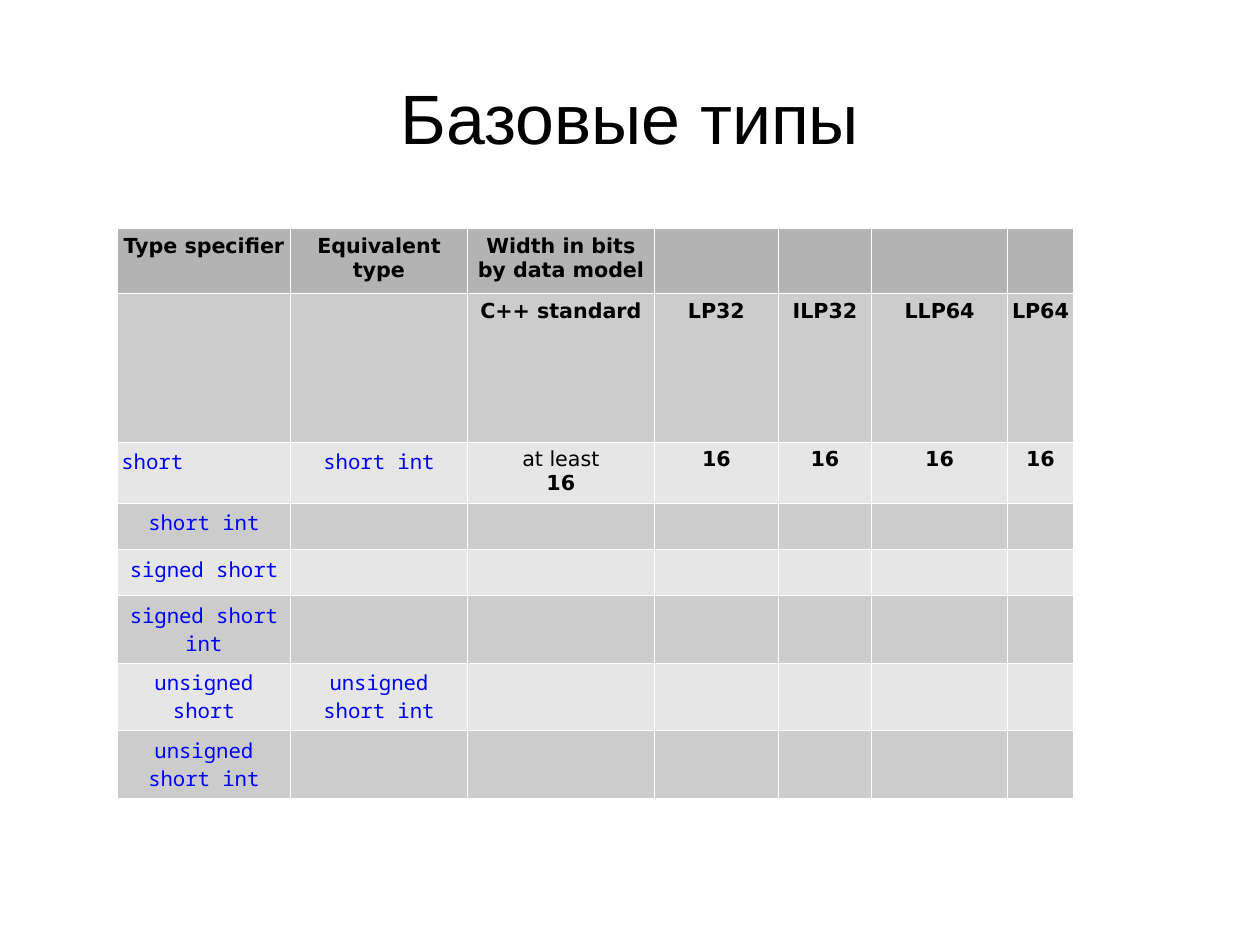
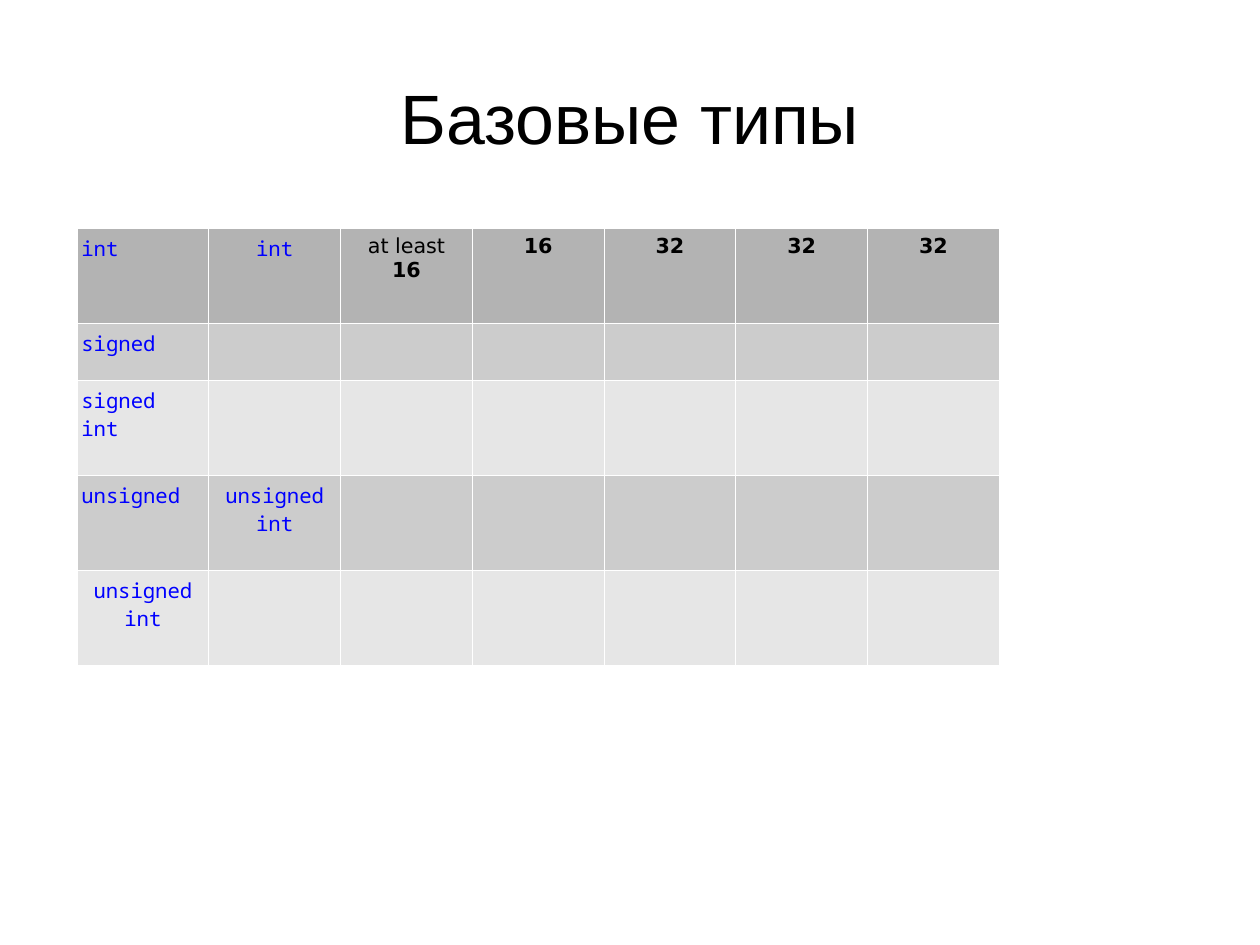
"""Build two slides with tables of the basic integer types."""
from dataclasses import dataclass
from typing import NamedTuple

from lxml import etree
from pptx import Presentation
from pptx.dml.color import RGBColor
from pptx.enum.text import MSO_ANCHOR, MSO_AUTO_SIZE, PP_ALIGN
from pptx.oxml.ns import qn
from pptx.presentation import Presentation as Deck
from pptx.slide import Slide
from pptx.table import _Cell
from pptx.text.text import TextFrame
from pptx.util import Pt

LEFT, CENTER = PP_ALIGN.LEFT, PP_ALIGN.CENTER
MIDDLE, NO_FIT = MSO_ANCHOR.MIDDLE, MSO_AUTO_SIZE.NONE

BLACK = RGBColor(0x00, 0x00, 0x00)
BLUE = RGBColor(0x00, 0x00, 0xFF)
WHITE = RGBColor(0xFF, 0xFF, 0xFF)
HEADER_GRAY = RGBColor(0xB3, 0xB3, 0xB3)
BAND_GRAYS = (RGBColor(0xE6, 0xE6, 0xE6), RGBColor(0xCC, 0xCC, 0xCC))

TITLE_ONLY_LAYOUT = 5
TITLE = "Базовые типы"
TABLE_TOP = 144
BORDER_WIDTH = 0.57
BORDER_TAGS = ("a:lnL", "a:lnR", "a:lnT", "a:lnB")


class TextStyle(NamedTuple):
    """Look of a piece of text."""
    font: str
    size: float
    color: RGBColor
    bold: bool = False


HEADING = TextStyle("Arial", 44, BLACK)
CODE = TextStyle("Noto Sans Mono", 13, BLUE)
PLAIN = TextStyle("DejaVu Sans", 13, BLACK)
STRONG = PLAIN._replace(bold=True)


class Entry(NamedTuple):
    """Text of one table cell, with a style for each line."""
    text: str
    styles: tuple[TextStyle, ...]
    align: PP_ALIGN = CENTER


@dataclass(frozen=True)
class TypeTable:
    """Geometry and contents of one table, in points."""
    left: float
    column_widths: tuple[float, ...]
    row_heights: tuple[float, ...]
    rows: tuple[tuple[Entry | None, ...], ...]


def code(text: str, align: PP_ALIGN = CENTER) -> Entry:
    """Return a type name."""
    return Entry(text, (CODE,), align)


def strong(*texts: str) -> tuple[Entry, ...]:
    """Return bold entries, one for each text."""
    return tuple(Entry(text, (STRONG,)) for text in texts)


AT_LEAST_16 = Entry("at least\n16", (PLAIN, STRONG))

TABLES = (
    TypeTable(
        left=73.7,
        column_widths=(109.4, 111.2, 118, 78, 58.8, 85.6, 41.6),
        row_heights=(40.8, 93.8, 38.4, 29, 29, 38.4, 38.4, 38.4),
        rows=(
            strong("Type specifier", "Equivalent type", "Width in bits by data model"),
            (None, None, *strong("C++ standard", "LP32", "ILP32", "LLP64", "LP64")),
            (code("short", LEFT), code("short int"), AT_LEAST_16,
             *strong("16", "16", "16", "16")),
            (code("short int"),),
            (code("signed short"),),
            (code("signed short int"),),
            (code("unsigned short"), code("unsigned short int")),
            (code("unsigned short int"),),
        ),
    ),
    TypeTable(
        left=48.5,
        column_widths=(83,) * 7,
        row_heights=(59.8, 36, 59.8, 59.8, 59.8),
        rows=(
            (code("int", LEFT), code("int"), AT_LEAST_16,
             *strong("16", "32", "32", "32")),
            (code("signed", LEFT),),
            (code("signed int", LEFT),),
            (code("unsigned", LEFT), code("unsigned int")),
            (code("unsigned int"),),
        ),
    ),
)


def write(frame: TextFrame, entry: Entry) -> None:
    """Fill a text frame with an entry and format its runs."""
    frame.text = entry.text
    for para, style in zip(frame.paragraphs, entry.styles):
        para.alignment = entry.align
        for run in para.runs:
            run.font.name = style.font
            run.font.size = Pt(style.size)
            run.font.bold = style.bold
            run.font.color.rgb = style.color


def add_borders(cell: _Cell) -> None:
    """Draw a thin white line on every side of a cell."""
    properties = cell._tc.get_or_add_tcPr()
    for tag in BORDER_TAGS:
        line = etree.SubElement(properties, qn(tag), w=str(Pt(BORDER_WIDTH)))
        fill = etree.SubElement(line, qn("a:solidFill"))
        etree.SubElement(fill, qn("a:srgbClr"), val=str(WHITE))


def add_title(slide: Slide) -> None:
    """Place and format the slide title."""
    title = slide.shapes.title
    title.left, title.top = Pt(39.7), Pt(23.7)
    title.width, title.height = Pt(714.3), Pt(99.4)
    frame = title.text_frame
    frame.margin_left = frame.margin_right = 0
    frame.margin_top = frame.margin_bottom = 0
    frame.vertical_anchor = MIDDLE
    frame.auto_size = NO_FIT
    frame.word_wrap = True
    write(frame, Entry(TITLE, (HEADING,)))


def add_type_table(slide: Slide, spec: TypeTable) -> None:
    """Draw a banded table of types."""
    table = slide.shapes.add_table(
        len(spec.row_heights), len(spec.column_widths),
        Pt(spec.left), Pt(TABLE_TOP),
        Pt(sum(spec.column_widths)), Pt(sum(spec.row_heights)),
    ).table
    table.first_row = table.horz_banding = False
    for column, width in zip(table.columns, spec.column_widths):
        column.width = Pt(width)
    for index, (row, height, entries) in enumerate(
            zip(table.rows, spec.row_heights, spec.rows)):
        row.height = Pt(height)
        color = BAND_GRAYS[index % 2] if index else HEADER_GRAY
        for cell in row.cells:
            cell.margin_left = cell.margin_right = Pt(2.8)
            cell.margin_top = cell.margin_bottom = Pt(3.6)
            add_borders(cell)
            cell.fill.solid()
            cell.fill.fore_color.rgb = color
        for cell, entry in zip(row.cells, entries):
            if entry:
                write(cell.text_frame, entry)


def build_deck() -> Deck:
    """Return the deck with one slide for each table."""
    deck = Presentation()
    deck.slide_width, deck.slide_height = Pt(793.7), Pt(595.3)
    for spec in TABLES:
        slide = deck.slides.add_slide(deck.slide_layouts[TITLE_ONLY_LAYOUT])
        add_title(slide)
        add_type_table(slide, spec)
    return deck


def main() -> None:
    """Build and save the deck."""
    build_deck().save("out.pptx")


if __name__ == "__main__":
    main()
